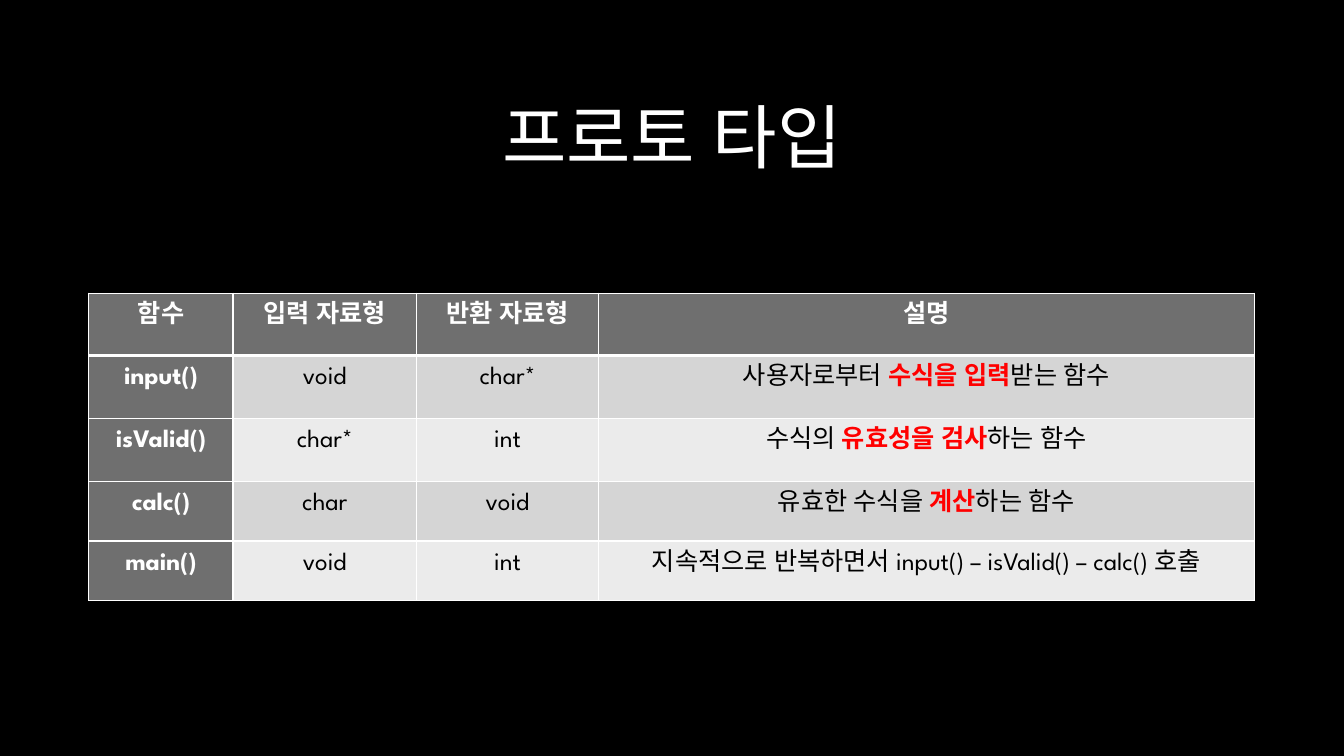
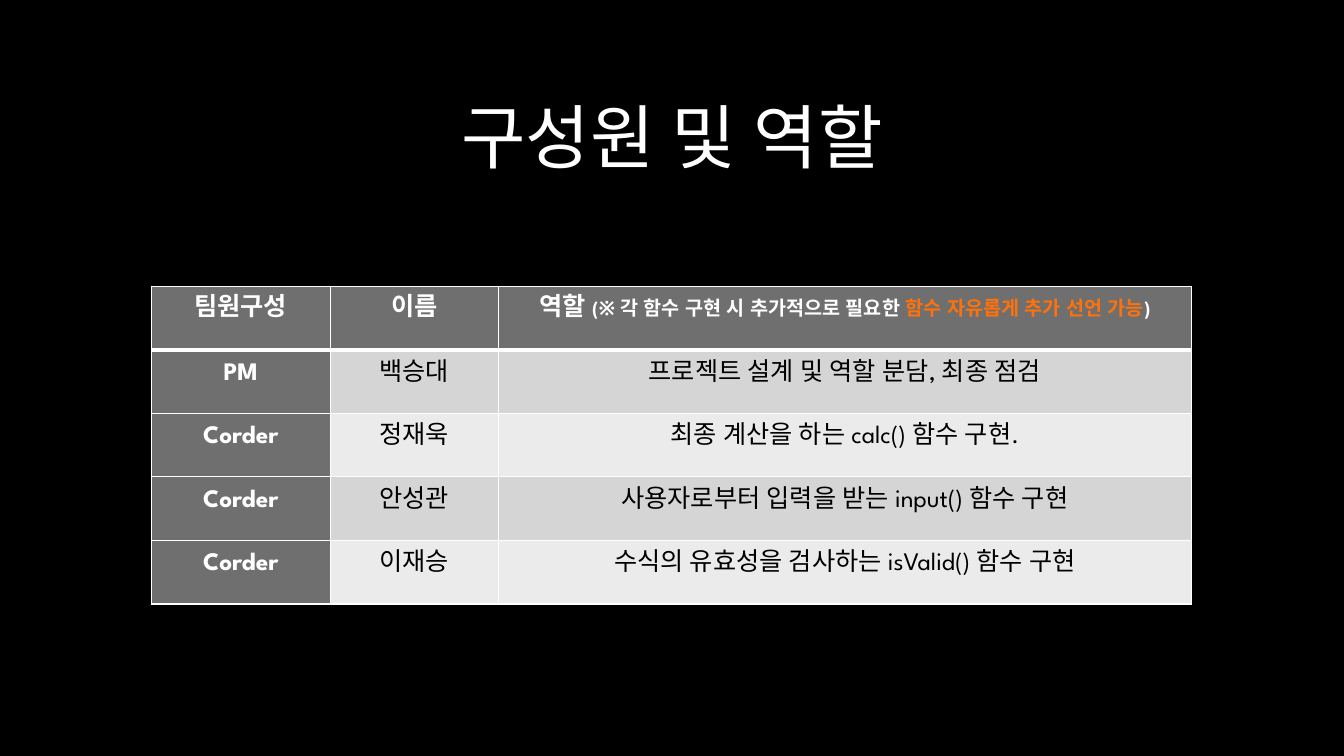
from dataclasses import dataclass

from lxml import etree
from pptx import Presentation
from pptx.dml.color import RGBColor
from pptx.enum.lang import MSO_LANGUAGE_ID
from pptx.enum.text import MSO_ANCHOR, MSO_AUTO_SIZE, PP_ALIGN
from pptx.oxml.ns import qn
from pptx.presentation import Presentation as Deck
from pptx.slide import Slide
from pptx.table import _Cell
from pptx.text.text import Font, _Paragraph, _Run
from pptx.util import Pt

CENTER = PP_ALIGN.CENTER
MIDDLE = MSO_ANCHOR.MIDDLE
NO_AUTOFIT = MSO_AUTO_SIZE.NONE
KOREAN = MSO_LANGUAGE_ID.KOREAN

FONT_NAME = "League Spartan"
BLACK = "000000"
WHITE = "FFFFFF"
SILVER = "A6A6A6"
HEADER_GRAY = "6F6F6F"
BAND_GRAYS = ("D5D5D5", "EBEBEB")
RED = "FF0000"
ORANGE = "FF720B"

TITLE_SIZE = 50
TEXT_SIZE = 18
NOTE_SIZE = 14
SIDE_MARGIN = 5
THIN = 1
THICK = 3


@dataclass(frozen=True)
class Span:
    text: str
    color: str | None = None
    size: float = TEXT_SIZE


Content = str | tuple[Span, ...]


@dataclass(frozen=True)
class TableSlide:
    title: str
    left: float
    top: float
    column_widths: tuple[float, ...]
    row_heights: tuple[float, ...]
    header_padding: float
    body_padding: float
    rows: tuple[tuple[Content, ...], ...]


def stressed(before: str, key: str, after: str) -> Content:
    return Span(before), Span(key, RED), Span(after)


PROTOTYPES = TableSlide(
    title="프로토 타입",
    left=63.5,
    top=209.5,
    column_widths=(103, 131, 130, 468.5),
    row_heights=(44.5, 45, 45, 42.5, 42.5),
    header_padding=8.3,
    body_padding=8.3,
    rows=(
        ("함수", "입력 자료형", "반환 자료형", "설명"),
        ("input()", "void", "char*", stressed("사용자로부터 ", "수식을 입력", "받는 함수")),
        ("isValid()", "char*", "int", stressed("수식의 ", "유효성을 검사", "하는 함수")),
        ("calc()", "char", "void", stressed("유효한 수식을 ", "계산", "하는 함수")),
        ("main()", "void", "int", "지속적으로 반복하면서 input() – isValid() – calc() 호출"),
    ),
)

MEMBERS = TableSlide(
    title="구성원 및 역할",
    left=108,
    top=204.5,
    column_widths=(128, 120, 495),
    row_heights=(45.4,) * 5,
    header_padding=8.3,
    body_padding=9.2,
    rows=(
        (
            "팀원구성",
            "이름",
            (
                Span("역할 "),
                Span("(※ 각 함수 구현 시 추가적으로 필요한 ", size=NOTE_SIZE),
                Span("함수 자유롭게 추가 선언 가능", ORANGE, NOTE_SIZE),
                Span(")", size=NOTE_SIZE),
            ),
        ),
        ("PM", "백승대", "프로젝트 설계 및 역할 분담, 최종 점검"),
        ("Corder", "정재욱", "최종 계산을 하는 calc() 함수 구현."),
        ("Corder", "안성관", "사용자로부터 입력을 받는 input() 함수 구현"),
        ("Corder", "이재승", "수식의 유효성을 검사하는 isValid() 함수 구현"),
    ),
)


def rgb(color: str) -> RGBColor:
    return RGBColor.from_string(color)


def add_run(paragraph: _Paragraph, text: str, size: float, bold: bool) -> _Run:
    run = paragraph.add_run()
    run.text = text
    font: Font = run.font
    font.name = FONT_NAME
    font.size = Pt(size)
    font.bold = bold
    font.language_id = KOREAN
    latin = run._r.get_or_add_rPr().find(qn("a:latin"))
    east_asian = etree.Element(qn("a:ea"), typeface=FONT_NAME)
    latin.addnext(east_asian)
    return run


def add_title(slide: Slide, text: str) -> None:
    title = slide.shapes.title
    title.left, title.top, title.width, title.height = Pt(90), Pt(21.6), Pt(780), Pt(150)
    frame = title.text_frame
    frame.word_wrap = True
    frame.auto_size = NO_AUTOFIT
    frame.vertical_anchor = MIDDLE
    paragraph = frame.paragraphs[0]
    paragraph.alignment = CENTER
    fill = add_run(paragraph, text, TITLE_SIZE, False).font.fill
    fill.gradient()
    fill.gradient_angle = 267
    for stop, color, position in zip(fill.gradient_stops, (WHITE, SILVER), (0, 1)):
        stop.color.rgb = rgb(color)
        stop.position = position


def set_borders(cell: _Cell, top: float, bottom: float) -> None:
    properties = cell._tc.get_or_add_tcPr()
    widths = {"a:lnL": THIN, "a:lnR": THIN, "a:lnT": top, "a:lnB": bottom}
    for position, (edge, width) in enumerate(widths.items()):
        line = etree.Element(qn(edge), w=str(Pt(width)))
        solid = etree.SubElement(line, qn("a:solidFill"))
        etree.SubElement(solid, qn("a:srgbClr"), val=WHITE)
        properties.insert(position, line)


def fill_cell(cell: _Cell, content: Content, background: str, heading: bool, padding: float) -> None:
    cell.fill.solid()
    cell.fill.fore_color.rgb = rgb(background)
    cell.margin_left = cell.margin_right = Pt(SIDE_MARGIN)
    cell.margin_top, cell.margin_bottom = Pt(padding), Pt(0)
    paragraph = cell.text_frame.paragraphs[0]
    paragraph.alignment = CENTER
    spans = (Span(content),) if isinstance(content, str) else content
    for span in spans:
        run = add_run(paragraph, span.text, span.size, heading or span.color is not None)
        run.font.color.rgb = rgb(span.color or (WHITE if heading else BLACK))


def add_grid(slide: Slide, content: TableSlide) -> None:
    table = slide.shapes.add_table(
        len(content.rows),
        len(content.column_widths),
        Pt(content.left),
        Pt(content.top),
        Pt(sum(content.column_widths)),
        Pt(sum(content.row_heights)),
    ).table
    table.horz_banding = False
    for column, width in zip(table.columns, content.column_widths):
        column.width = Pt(width)
    for row, height in zip(table.rows, content.row_heights):
        row.height = Pt(height)
    for row_index, values in enumerate(content.rows):
        is_header = row_index == 0
        padding = content.header_padding if is_header else content.body_padding
        for column_index, value in enumerate(values):
            heading = is_header or column_index == 0
            background = HEADER_GRAY if heading else BAND_GRAYS[(row_index - 1) % 2]
            cell = table.cell(row_index, column_index)
            fill_cell(cell, value, background, heading, padding)
            set_borders(
                cell,
                top=THICK if row_index == 1 else THIN,
                bottom=THICK if is_header else THIN,
            )


def add_table_slide(deck: Deck, content: TableSlide) -> None:
    slide = deck.slides.add_slide(deck.slide_layouts.get_by_name("Title Only"))
    add_title(slide, content.title)
    add_grid(slide, content)


def main() -> None:
    deck = Presentation()
    deck.slide_width, deck.slide_height = Pt(960), Pt(540)
    backdrop = deck.slide_master.background.fill
    backdrop.solid()
    backdrop.fore_color.rgb = rgb(BLACK)
    for content in (PROTOTYPES, MEMBERS):
        add_table_slide(deck, content)
    deck.save("out.pptx")


if __name__ == "__main__":
    main()
